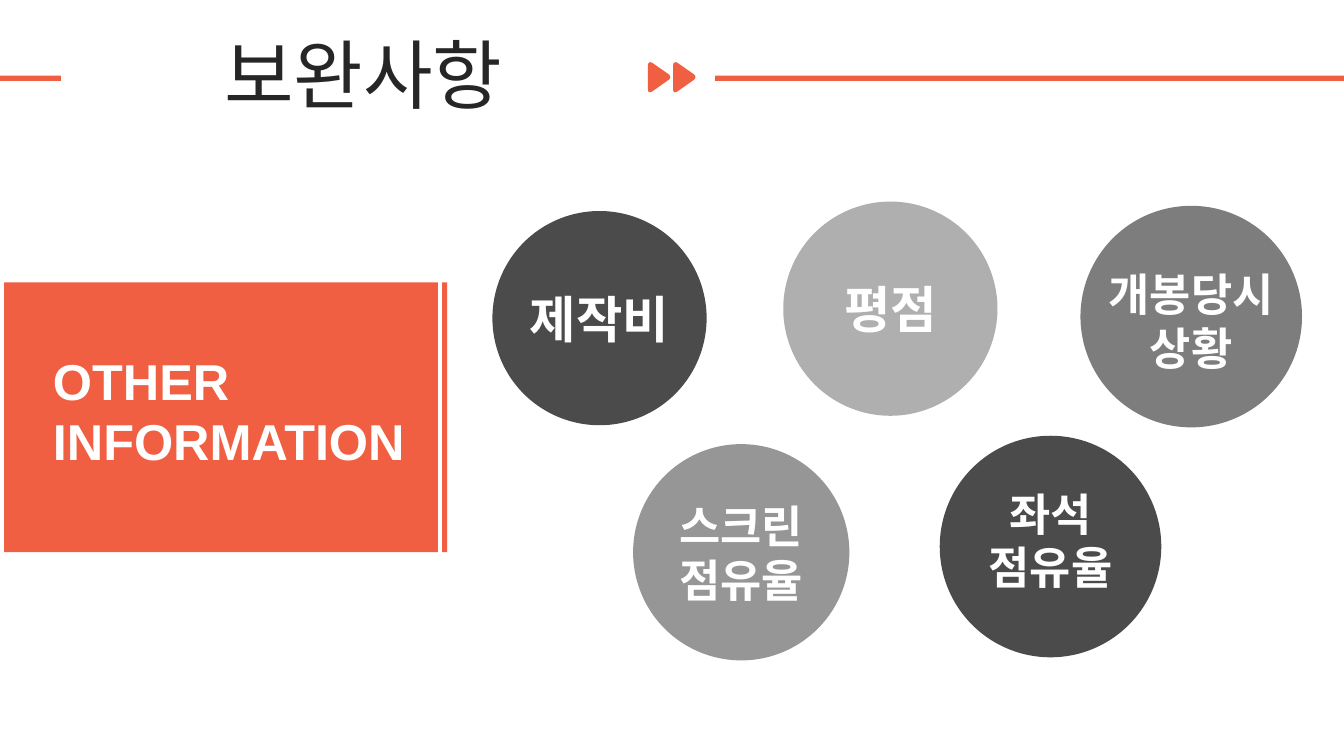
from pptx import Presentation
from pptx import util as u
from pptx.dml.color import RGBColor
from pptx.enum import shapes, text
from pptx.oxml.ns import qn
from lxml import etree

PX = 9525  # EMU per px, 96 px to the inch
ORANGE = RGBColor(0xF0, 0x5F, 0x41)
WHITE = RGBColor(0xFF, 0xFF, 0xFF)
INK = RGBColor(0x26, 0x26, 0x26)
DARK = RGBColor(0x4B, 0x4B, 0x4B)
MID = RGBColor(0x7D, 0x7D, 0x7D)
SOFT = RGBColor(0x96, 0x96, 0x96)
LIGHT = RGBColor(0xAF, 0xAF, 0xAF)

prs = Presentation()
prs.slide_width, prs.slide_height = 1280 * PX, 720 * PX
s = prs.slides.add_slide(prs.slide_layouts[6])


def paint(sp, color):
    sp.shadow.inherit = False
    sp.fill.solid()
    sp.fill.fore_color.rgb = color
    sp.line.fill.background()


def add_text(box, lines, align, **fmt):
    tf = s.shapes.add_textbox(*(v * PX for v in box)).text_frame
    tf.word_wrap = True
    tf.vertical_anchor = text.MSO_ANCHOR.MIDDLE
    for i, line in enumerate(lines):
        p = tf.add_paragraph() if i else tf.paragraphs[0]
        p.alignment = align
        r = p.add_run()
        r.text = line
        color = fmt.get("color", WHITE)
        r.font.color.rgb = color
        for key, value in fmt.items():
            if key != "color":
                setattr(r.font, key, value)
        # Hangul takes the East Asian typeface
        etree.SubElement(r._r.get_or_add_rPr(), qn("a:ea")).set("typeface", fmt["name"])
    return tf


# Double arrow with rounded corners, in tenths of a px
ARROW = [(202, 758), (38, 874), (19, 879), (5, 872), (0, 854), (0, 624),
         (5, 603), (19, 592), (38, 596), (202, 710), (212, 725), (212, 743)]
for left in (6170, 6410):
    points = [(left + x, y) for x, y in ARROW]
    fb = s.shapes.build_freeform(*points[0], scale=PX / 10)
    fb.add_line_segments(points[1:], close=True)
    paint(fb.convert_to_shape(), ORANGE)

# Title rules, then the side panel and its edge strip
for box in ((681, 72, 599, 5), (0, 72, 58, 5),
            (4, 269, 413, 257), (421, 269, 5, 257)):
    paint(s.shapes.add_shape(shapes.MSO_SHAPE.RECTANGLE, *(v * PX for v in box)), ORANGE)

# Topic circles: left, top, diameter, colour, lines, label height, label shift, size, font
TOPICS = [
    (746, 192, 204, LIGHT, ["평점"], 68, 0, 36, "Arial"),
    (603, 423, 206, SOFT, ["스크린", "점유율"], 114, 0, 32, "Arial"),
    (1029, 196, 211, MID, ["개봉당시 상황"], 113, 4, 32, "Arial"),
    (895, 415, 211, DARK, ["좌석", "점유율"], 113, -6, 32, "Noto Serif"),
    (469, 201, 204, DARK, ["제작비"], 68, 0, 36, "Arial"),
]
for x, y, d, color, lines, h, shift, size, font in TOPICS:
    paint(s.shapes.add_shape(shapes.MSO_SHAPE.OVAL, x * PX, y * PX, d * PX, d * PX), color)
    add_text((x, y + (d - h) // 2 + shift, d, h), lines, text.PP_ALIGN.CENTER,
             name=font, size=u.Pt(size), bold=True)

# Panel caption
add_text((41, 328, 364, 126), ["OTHER INFORMATION"], text.PP_ALIGN.LEFT,
         name="Arial", size=u.Pt(36), bold=True)

# Title
tf = add_text((204, 37, 532, 76), ["보완사항"], text.PP_ALIGN.LEFT,
              name="Noto Sans CJK KR", size=u.Pt(54), color=INK)
tf.paragraphs[0].line_spacing = 0.9
tf.paragraphs[0].space_before = u.Pt(10)

prs.save("out.pptx")
